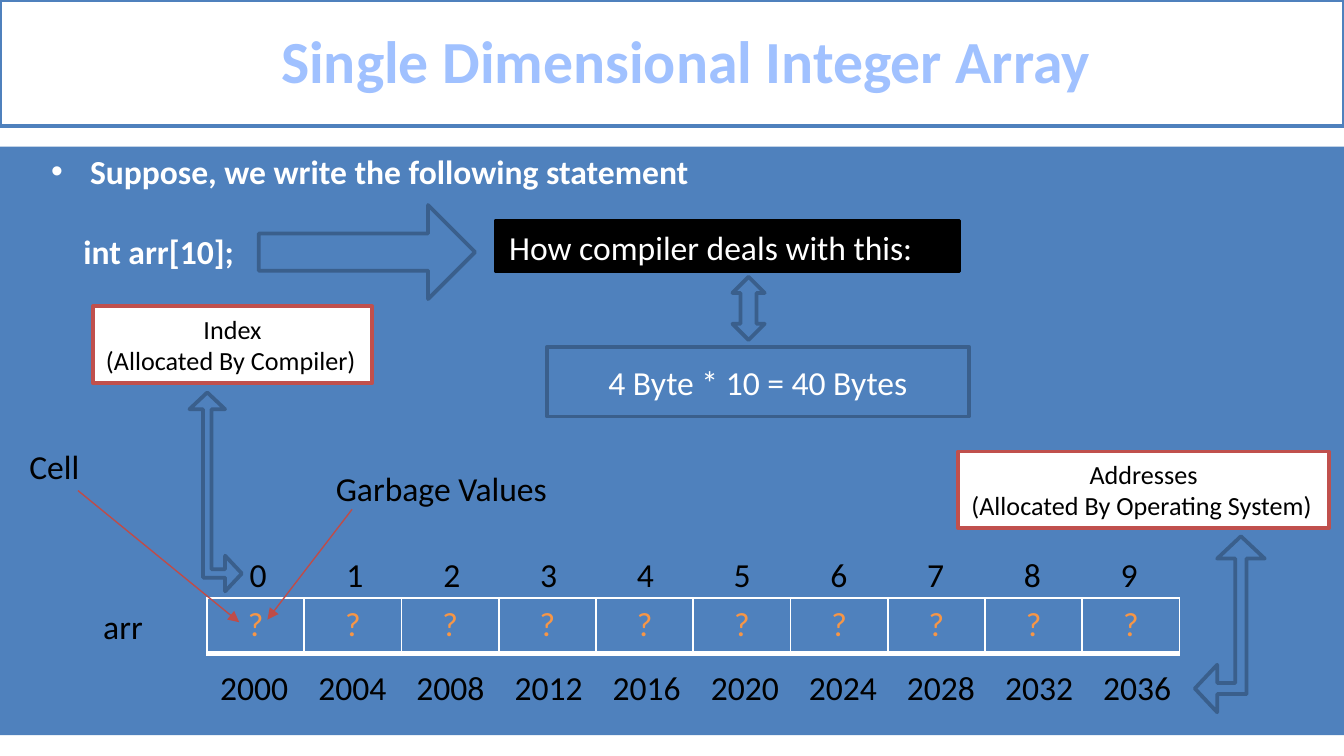
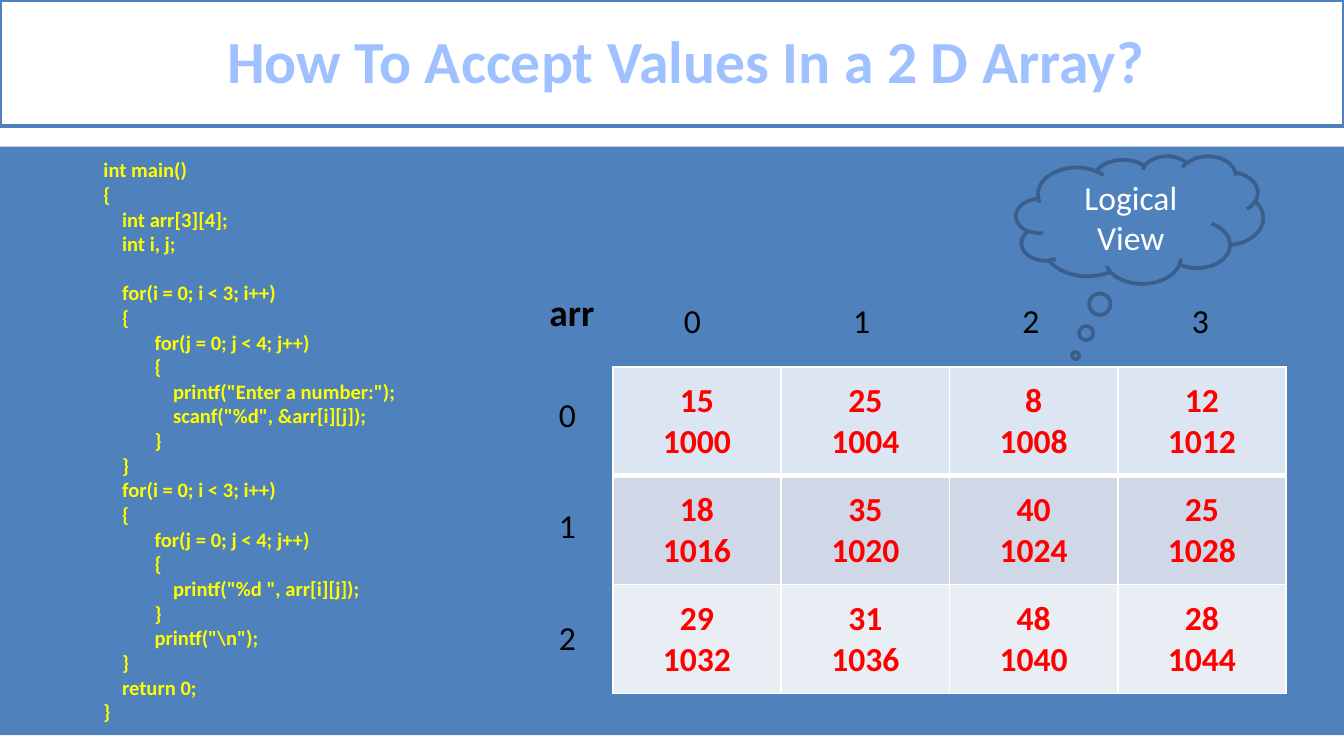
from dataclasses import dataclass
from typing import Optional

from lxml.etree import SubElement
from pptx import Presentation
from pptx.dml.color import RGBColor
from pptx.enum.shapes import MSO_CONNECTOR, MSO_SHAPE
from pptx.enum.text import MSO_ANCHOR, MSO_AUTO_SIZE, PP_ALIGN
from pptx.oxml.ns import qn
from pptx.util import Emu, Pt

FONT = "Calibri"
PX = 9144  # 100 px to the inch
SLIDE_WIDTH = 1000
COLORS = {
    "white": "FFFFFF",
    "black": "000000",
    "blue": "4F81BD",
    "edge": "3A5F8C",
    "title": "A0C1FF",
    "red": "C0504D",
    "arrow": "BF4C48",
    "orange": "F79646",
    "code": "FFFF00",
    "value": "FF0000",
    "row0": "DCE6F2",
    "row1": "D0D8E8",
    "row2": "E9EDF4",
}
CODE = r'''int main()
{
    int arr[3][4];
    int i, j;
    for(i = 0; i < 3; i++)
    {
        for(j = 0; j < 4; j++)
        {
            printf("Enter a number:");
            scanf("%d", &arr[i][j]);
        }
    }
    for(i = 0; i < 3; i++)
    {
        for(j = 0; j < 4; j++)
        {
            printf("%d ", arr[i][j]);
        }
        printf("\n");
    }
    return 0;
}'''
FIRST_LOOP = 4


@dataclass(frozen=True)
class Box:
    left: int
    top: int
    width: int
    height: int

    def emu(self) -> tuple:
        return tuple(px(n) for n in (self.left, self.top, self.width, self.height))


@dataclass(frozen=True)
class Panel:
    box: Box
    kind: MSO_SHAPE = MSO_SHAPE.RECTANGLE
    fill: str = "blue"
    line: Optional[str] = "edge"
    adjust: tuple = ()
    rotation: int = 0
    flip: bool = False


@dataclass(frozen=True)
class Pointer:
    start: tuple
    end: tuple


def px(length: int) -> Emu:
    return Emu(length * PX)


def rgb(name: str) -> RGBColor:
    return RGBColor.from_string(COLORS[name])


def write(frame, text: str, *, size: int = 18, color: str = "black", bold: bool = False,
          align=PP_ALIGN.LEFT, anchor=MSO_ANCHOR.TOP, wrap: bool = True) -> None:
    """Fill a text frame, one paragraph to each line of text."""
    frame.word_wrap = wrap
    frame.auto_size = MSO_AUTO_SIZE.NONE if wrap else MSO_AUTO_SIZE.SHAPE_TO_FIT_TEXT
    frame.vertical_anchor = anchor
    write_lines(frame, text, size, color, bold, align)


def write_lines(frame, text: str, size: int, color: str, bold: bool, align) -> None:
    for number, line in enumerate(text.splitlines()):
        paragraph = frame.add_paragraph() if number else frame.paragraphs[0]
        paragraph.alignment = align
        paragraph.space_before = Pt(0)
        run = paragraph.add_run()
        run.text = line
        run.font.name = FONT
        run.font.size = Pt(size)
        run.font.bold = bold
        run.font.color.rgb = rgb(color)


def indent(paragraph, left: int, first: int = 0, bullet: str = "") -> None:
    properties = paragraph._p.get_or_add_pPr()
    properties.set("marL", str(px(left)))
    properties.set("indent", str(px(first)))
    if bullet:
        SubElement(properties, qn("a:buChar")).set("char", bullet)
    else:
        SubElement(properties, qn("a:buNone"))


def place(shape, box: Box) -> None:
    shape.left, shape.top, shape.width, shape.height = box.emu()


def add_panel(slide, panel: Panel):
    shape = slide.shapes.add_shape(panel.kind, *panel.box.emu())
    shape.shadow.inherit = False
    shape.fill.solid()
    shape.fill.fore_color.rgb = rgb(panel.fill)
    if panel.line:
        shape.line.color.rgb = rgb(panel.line)
        shape.line.width = Pt(2)
    else:
        shape.line.fill.background()
    for number, value in enumerate(panel.adjust):
        shape.adjustments[number] = value
    shape.rotation = panel.rotation
    if panel.flip:
        shape.element.spPr.find(qn("a:xfrm")).set("flipH", "1")
    return shape


def add_label(slide, text: str, box: Box, **text_format) -> None:
    label = slide.shapes.add_textbox(*box.emu())
    write(label.text_frame, text, wrap=False, **text_format)


def add_label_run(slide, texts, first: Box, step_x: int = 0, step_y: int = 0) -> None:
    """Place labels at equal steps from the first one."""
    for number, text in enumerate(texts):
        add_label(slide, str(text), Box(first.left + number * step_x,
                                        first.top + number * step_y,
                                        first.width, first.height))


def add_note(slide, text: str, box: Box) -> None:
    """Red-edged box with its heading centred over the explanation."""
    note = add_panel(slide, Panel(box, fill="white", line="red"))
    write(note.text_frame, text, size=14, wrap=False)
    note.text_frame.paragraphs[0].alignment = PP_ALIGN.CENTER


def add_pointer(slide, pointer: Pointer) -> None:
    ends = [px(n) for n in pointer.start + pointer.end]
    connector = slide.shapes.add_connector(MSO_CONNECTOR.STRAIGHT, *ends)
    connector.line.color.rgb = rgb("arrow")
    connector.line.width = Pt(0.75)
    SubElement(connector.line._get_or_add_ln(), qn("a:tailEnd")).set("type", "triangle")
    SubElement(connector._element.spPr, qn("a:effectLst"))


def set_border(cell, side: str, points: int) -> None:
    line = SubElement(cell._tc.get_or_add_tcPr(), qn(f"a:{side}"), w=str(Pt(points)))
    fill = SubElement(line, qn("a:solidFill"))
    SubElement(fill, qn("a:srgbClr"), val=COLORS["white"])


def add_array(slide, rows: list, box: Box, fills: list, anchor, **text_format) -> None:
    """Table with white rules, the one under the first row being heavier."""
    table = slide.shapes.add_table(len(rows), len(rows[0]), *box.emu()).table
    table.first_row = table.horz_banding = False
    for r, row in enumerate(rows):
        for c, text in enumerate(row):
            cell = table.cell(r, c)
            cell.margin_left = cell.margin_right = px(8)
            cell.margin_top = cell.margin_bottom = px(5)
            cell.vertical_anchor = anchor
            set_border(cell, "lnL", 1)
            set_border(cell, "lnR", 1)
            if r == 0:
                set_border(cell, "lnT", 1)
            set_border(cell, "lnB", 1 if r else 3)
            cell.fill.solid()
            cell.fill.fore_color.rgb = rgb(fills[r])
            write_lines(cell.text_frame, text, align=PP_ALIGN.CENTER, **text_format)


def start_slide(deck, heading: str, body_box: Box):
    """Add a slide with the blue field and title; return it with its body frame."""
    slide = deck.slides.add_slide(deck.slide_layouts[1])
    field = add_panel(slide, Panel(Box(0, 109, SLIDE_WIDTH, 438), line=None))
    field.element.getparent().insert(2, field.element)
    title, body = slide.shapes.title, slide.placeholders[1]
    place(title, Box(0, 0, SLIDE_WIDTH, 94))
    title.fill.solid()
    title.fill.fore_color.rgb = rgb("white")
    title.line.color.rgb = rgb("blue")
    title.line.width = Pt(2)
    write(title.text_frame, heading, size=32, color="title", bold=True,
          align=PP_ALIGN.CENTER, anchor=MSO_ANCHOR.MIDDLE)
    indent(title.text_frame.paragraphs[0], 21)
    title.text_frame.paragraphs[0].line_spacing = 0.96
    place(body, body_box)
    return slide, body.text_frame


def build_integer_array(deck) -> None:
    slide, body = start_slide(deck, "Single Dimensional Integer Array", Box(28, 107, 700, 95))
    write(body, "Suppose, we write the following statement\nint arr[10];",
          color="white", bold=True)
    statement, declaration = body.paragraphs
    indent(statement, 29, -29, "•")
    indent(declaration, 24)
    declaration.space_before = Pt(21.5)

    compiler = add_panel(slide, Panel(Box(369, 164, 345, 38), fill="black", line="black"))
    write(compiler.text_frame, "How compiler deals with this:", color="white")
    add_panel(slide, Panel(Box(238, 107, 70, 161), MSO_SHAPE.DOWN_ARROW,
                           adjust=(0.395, 0.5), rotation=270))
    memory = add_panel(slide, Panel(Box(407, 258, 314, 52)))
    write(memory.text_frame, "4 Byte * 10 = 40 Bytes", color="white",
          align=PP_ALIGN.CENTER, anchor=MSO_ANCHOR.MIDDLE)
    add_panel(slide, Panel(Box(545, 206, 24, 47), MSO_SHAPE.UP_DOWN_ARROW))

    add_array(slide, [["?"] * 10], Box(154, 445, 724, 41), ["blue"], MSO_ANCHOR.TOP,
              size=18, color="orange", bold=False)
    add_label(slide, "arr", Box(67, 446, 50, 40))
    add_label_run(slide, range(10), Box(176, 407, 33, 40), step_x=72)
    add_label_run(slide, range(2000, 2040, 4), Box(154, 491, 71, 40), step_x=73)

    bent = (0.16, 0.34, 0.34)
    add_panel(slide, Panel(Box(889, 399, 52, 131), MSO_SHAPE.LEFT_UP_ARROW, adjust=bent))
    add_panel(slide, Panel(Box(141, 292, 39, 148), MSO_SHAPE.LEFT_UP_ARROW,
                           adjust=bent, flip=True))
    add_note(slide, "Addresses\n(Allocated By Operating System)", Box(713, 336, 276, 57))
    add_note(slide, "Index\n(Allocated By Compiler)", Box(69, 228, 208, 57))
    add_label(slide, "Cell", Box(12, 327, 58, 40))
    add_label(slide, "Garbage Values", Box(240, 343, 179, 40))
    for pointer in (Pointer((58, 365), (178, 463)), Pointer((262, 379), (199, 461))):
        add_pointer(slide, pointer)


def build_accept_values(deck) -> None:
    slide, body = start_slide(deck, "How To Accept Values In a 2 D Array?",
                              Box(67, 112, 330, 436))
    write(body, CODE.replace(" " * 8, "\t"), size=11, color="code", bold=True)
    for line in body.paragraphs:
        indent(line, 38, -38)
    body.paragraphs[FIRST_LOOP].space_before = Pt(13)

    values = [[15, 25, 8, 12], [18, 35, 40, 25], [29, 31, 48, 28]]
    rows = [[f"{value}\n{1000 + 16 * r + 4 * c}" for c, value in enumerate(row)]
            for r, row in enumerate(values)]
    add_array(slide, rows, Box(456, 273, 501, 243), ["row0", "row1", "row2"],
              MSO_ANCHOR.MIDDLE, size=18, color="value", bold=True)

    view = add_panel(slide, Panel(Box(756, 116, 184, 95), MSO_SHAPE.CLOUD_CALLOUT,
                                  adjust=(-0.259, 1.064)))
    write(view.text_frame, "Logical\nView", color="white",
          align=PP_ALIGN.CENTER, anchor=MSO_ANCHOR.MIDDLE)
    add_label_run(slide, range(3), Box(406, 288, 33, 40), step_y=83)
    add_label_run(slide, range(4), Box(499, 218, 33, 40), step_x=126)
    add_label(slide, "arr", Box(399, 210, 54, 44), size=20, bold=True)


def main() -> None:
    deck = Presentation()
    deck.slide_width = px(SLIDE_WIDTH)
    deck.slide_height = px(SLIDE_WIDTH) * 9 // 16
    build_integer_array(deck)
    build_accept_values(deck)
    deck.save("out.pptx")


if __name__ == "__main__":
    main()
